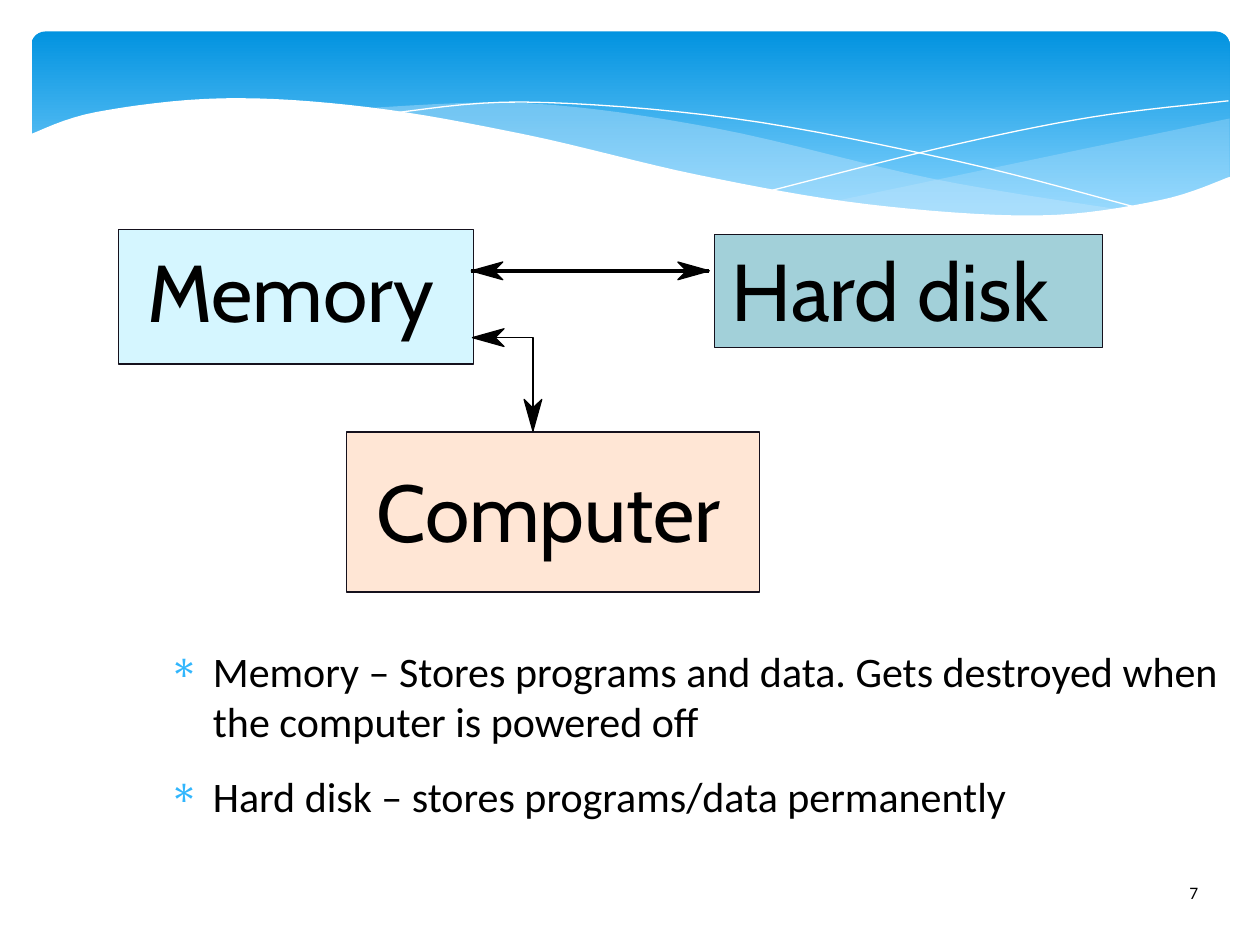
"""Build a slide on memory, hard disk and computer under a wave banner."""
from dataclasses import dataclass

from pptx import Presentation
from pptx.dml.color import RGBColor
from pptx.enum.shapes import MSO_CONNECTOR, MSO_SHAPE
from pptx.enum.text import MSO_AUTO_SIZE
from pptx.oxml.ns import qn
from pptx.util import Inches, Pt
from lxml.etree import SubElement

Point = tuple[float, float]
Area = tuple[float, float, float, float]

BLACK = RGBColor(0x00, 0x00, 0x00)
WHITE = RGBColor(0xFF, 0xFF, 0xFF)
EDGE = RGBColor(0x15, 0x11, 0x1D)
DEEP = RGBColor(0x02, 0x93, 0xE0)
LIGHT = RGBColor(0x83, 0xD3, 0xFE)
PALE = RGBColor(0xC6, 0xE7, 0xFC)
TEAL = RGBColor(0xA2, 0xD0, 0xD9)
PEACH = RGBColor(0xFF, 0xE6, 0xD5)
AQUA = RGBColor(0xD5, 0xF6, 0xFF)
BULLET = "31B6FD"
STEPS = 8


@dataclass
class Wave:
    curves: list[list[Point]]
    fill: RGBColor | None = None
    alpha: int = 100
    line: RGBColor | None = None


@dataclass
class Box:
    area: Area
    fill: RGBColor
    label: str
    text: Area


@dataclass
class Head:
    tip: Point
    way: tuple[int, int]


WAVES = [
    Wave([[(9.76, 0.94), (8.61, 1.18), (6.61, 1.6)],
          [(6.61, 1.6), (7.92, 1.72), (9.05, 1.63), (9.76, 1.41)]], PALE, 29),
    Wave([[(8.93, 1.67), (7.41, 1.42), (5.69, 1.02), (4.2, 0.82), (2.86, 0.86)],
          [(2.86, 0.86), (4.49, 1.16), (6.34, 1.56), (7.73, 1.72), (8.93, 1.67)]], PALE, 40),
    Wave([[(3.09, 0.9), (4.16, 0.81), (5.82, 0.94), (7.6, 1.28), (9.07, 1.66)]], line=WHITE),
    Wave([[(6.13, 1.51), (7.48, 1.17), (8.66, 0.93), (9.75, 0.8)]], line=WHITE),
    Wave([[(9.77, 1.4), (9.2, 1.59), (8.23, 1.71), (6.88, 1.62), (5.55, 1.39),
           (4.18, 1.07), (2.92, 0.85), (1.77, 0.78), (0.76, 0.89), (0.23, 1.07)],
          [(0.23, 2.24), (9.77, 2.24)]], WHITE),
]
BOXES = [
    Box((5.67, 1.86, 3.08, 0.9), TEAL, "Hard disk", (5.81, 1.91, 2.87, 0.82)),
    Box((2.75, 3.43, 3.28, 1.27), PEACH, "Computer", (2.99, 3.67, 2.97, 0.82)),
    Box((0.94, 1.82, 2.82, 1.07), AQUA, "Memory", (1.17, 1.92, 2.49, 0.82)),
]
HEADS = [Head((3.75, 2.68), (-1, 0)), Head((4.23, 3.42), (0, 1)),
         Head((3.74, 2.15), (-1, 0)), Head((5.63, 2.15), (1, 0))]
NOTES = ["Memory – Stores programs and data. Gets destroyed when the computer is powered off",
         "Hard disk – stores programs/data permanently"]


def blend(a: float, b: float, c: float, d: float, t: float) -> float:
    """Return the Catmull-Rom value between b and c."""
    return b + t / 2 * (c - a + t * (2 * a - 5 * b + 4 * c - d + t * (3 * (b - c) + d - a)))


def smooth(knots: list[Point]) -> list[Point]:
    """Return points on a soft curve through the knots."""
    ends = [knots[0], *knots, knots[-1]]
    points = [tuple(blend(*axis, step / STEPS) for axis in zip(*four))
              for four in zip(ends, ends[1:], ends[2:], ends[3:])
              for step in range(STEPS)]
    return [*points, knots[-1]]


def paint(shape, fill: RGBColor | None, line: RGBColor | None) -> None:
    """Set a plain fill and a hairline, or neither."""
    shape.shadow.inherit = False
    if fill is None:
        shape.fill.background()
    else:
        shape.fill.solid()
        shape.fill.fore_color.rgb = fill
    if line is None:
        shape.line.fill.background()
    else:
        shape.line.color.rgb = line
        shape.line.width = Pt(0)


def draw_path(shapes, points: list[Point], fill: RGBColor | None, line: RGBColor | None):
    """Draw an outline, closed when it has a fill."""
    first, *rest = [(Inches(x), Inches(y)) for x, y in points]
    form = shapes.build_freeform(*first)
    form.add_line_segments(rest, close=fill is not None)
    shape = form.convert_to_shape()
    paint(shape, fill, line)
    return shape


def draw_wave(shapes, wave: Wave) -> None:
    """Draw a wave from its curves."""
    points = [point for curve in wave.curves for point in smooth(curve)]
    shape = draw_path(shapes, points, wave.fill, wave.line)
    if wave.alpha < 100:
        tint = shape._element.spPr.find(qn("a:solidFill"))[0]
        SubElement(tint, qn("a:alpha")).set("val", str(wave.alpha * 1000))


def draw_head(shapes, head: Head) -> None:
    """Draw a barbed arrowhead that points along its way."""
    (x, y), (dx, dy) = head.tip, head.way
    barbs = [(0.18, 0), (0.25, 0.07), (0, 0), (0.25, -0.07)]
    points = [(x - dx * b - dy * s, y - dy * b + dx * s) for b, s in barbs]
    draw_path(shapes, points, BLACK, BLACK)


def draw_banner(shapes) -> None:
    """Draw the rounded band with its gradient."""
    band = shapes.add_shape(MSO_SHAPE.ROUNDED_RECTANGLE, *map(Inches, (0.25, 0.25, 9.51, 1.56)))
    band.adjustments[0] = 0.07
    paint(band, None, None)
    band.fill.gradient()
    band.fill.gradient_angle = 270
    for stop, place, color in zip(band.fill.gradient_stops, (0, 0.9), (DEEP, LIGHT)):
        stop.position = place
        stop.color.rgb = color


def add_run(para, text: str, size: int, font: str) -> None:
    """Add one black run."""
    run = para.add_run()
    run.text = text
    run.font.size = Pt(size)
    run.font.name = font
    run.font.color.rgb = BLACK


def add_frame(shapes, area: Area, wrap: bool):
    """Add a text box without insets and return its frame."""
    frame = shapes.add_textbox(*map(Inches, area)).text_frame
    frame.word_wrap = wrap
    frame.margin_left = frame.margin_right = Inches(0)
    frame.margin_top = frame.margin_bottom = Inches(0)
    return frame


def draw_label(shapes, box: Box) -> None:
    """Write the name of a box."""
    frame = add_frame(shapes, box.text, False)
    frame.auto_size = MSO_AUTO_SIZE.SHAPE_TO_FIT_TEXT
    add_run(frame.paragraphs[0], box.label, 46, "Cabin")


def draw_notes(shapes) -> None:
    """Write the bulleted notes."""
    frame = add_frame(shapes, (1.22, 5.12, 8.53, 1.75), True)
    for index, note in enumerate(NOTES):
        para = frame.add_paragraph() if index else frame.paragraphs[0]
        para.space_after = Pt(14.1)
        props = para._p.get_or_add_pPr()
        props.set("marL", str(Inches(0.47)))
        props.set("indent", str(Inches(-0.35)))
        tint = SubElement(props, qn("a:buClr"))
        SubElement(tint, qn("a:srgbClr")).set("val", BULLET)
        SubElement(props, qn("a:buChar")).set("char", "∗")
        add_run(para, note, 24, "Calibri")


def main() -> None:
    """Build and save the slide."""
    deck = Presentation()
    deck.slide_width, deck.slide_height = Inches(10), Inches(7.5)
    shapes = deck.slides.add_slide(deck.slide_layouts[6]).shapes
    draw_banner(shapes)
    for wave in WAVES:
        draw_wave(shapes, wave)
    draw_notes(shapes)
    for box in BOXES:
        rect = shapes.add_shape(MSO_SHAPE.RECTANGLE, *map(Inches, box.area))
        paint(rect, box.fill, EDGE)
    for box in BOXES:
        draw_label(shapes, box)
    draw_path(shapes, [(3.75, 2.68), (4.23, 2.68), (4.23, 3.42)], None, BLACK)
    link = shapes.add_connector(MSO_CONNECTOR.STRAIGHT, *map(Inches, (3.74, 2.15, 5.63, 2.15)))
    link.line.color.rgb = BLACK
    link.line.width = Pt(0)
    SubElement(link._element.spPr, qn("a:effectLst"))
    for head in HEADS:
        draw_head(shapes, head)
    page = shapes.add_textbox(*map(Inches, (9.34, 6.95, 0.61, 0.4))).text_frame
    page.word_wrap = True
    add_run(page.paragraphs[0], "7", 10, "Calibri")
    deck.save("out.pptx")


if __name__ == "__main__":
    main()
